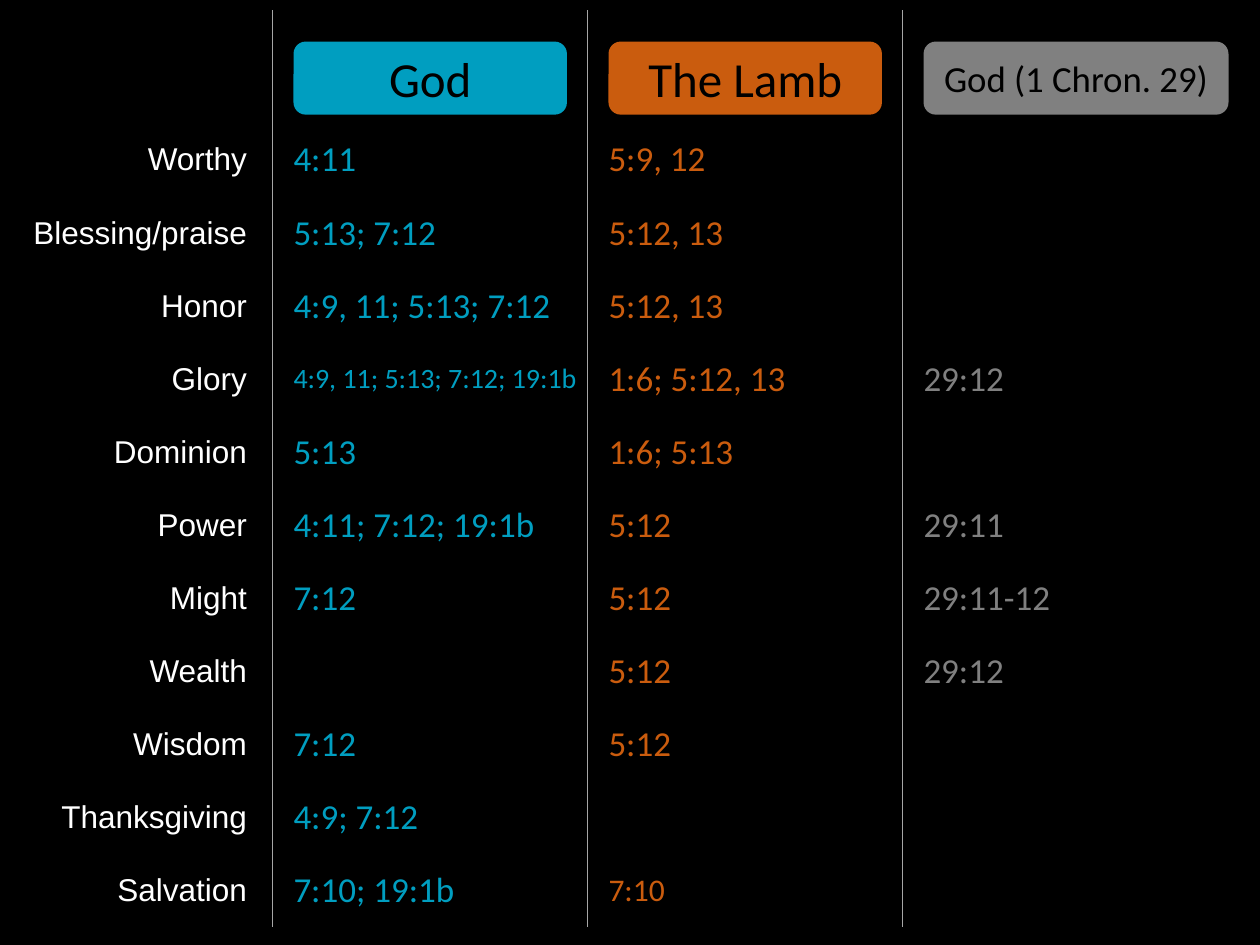
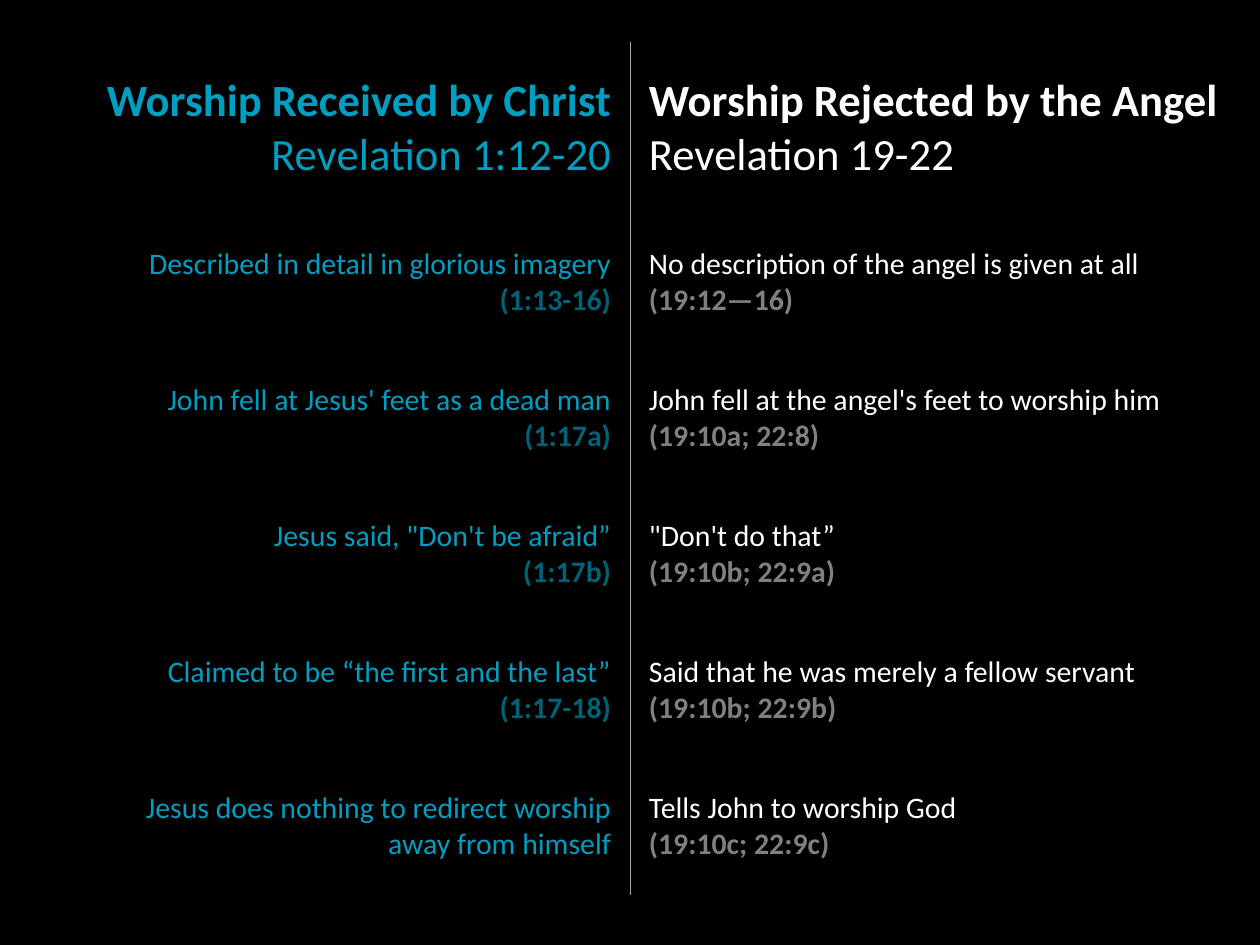
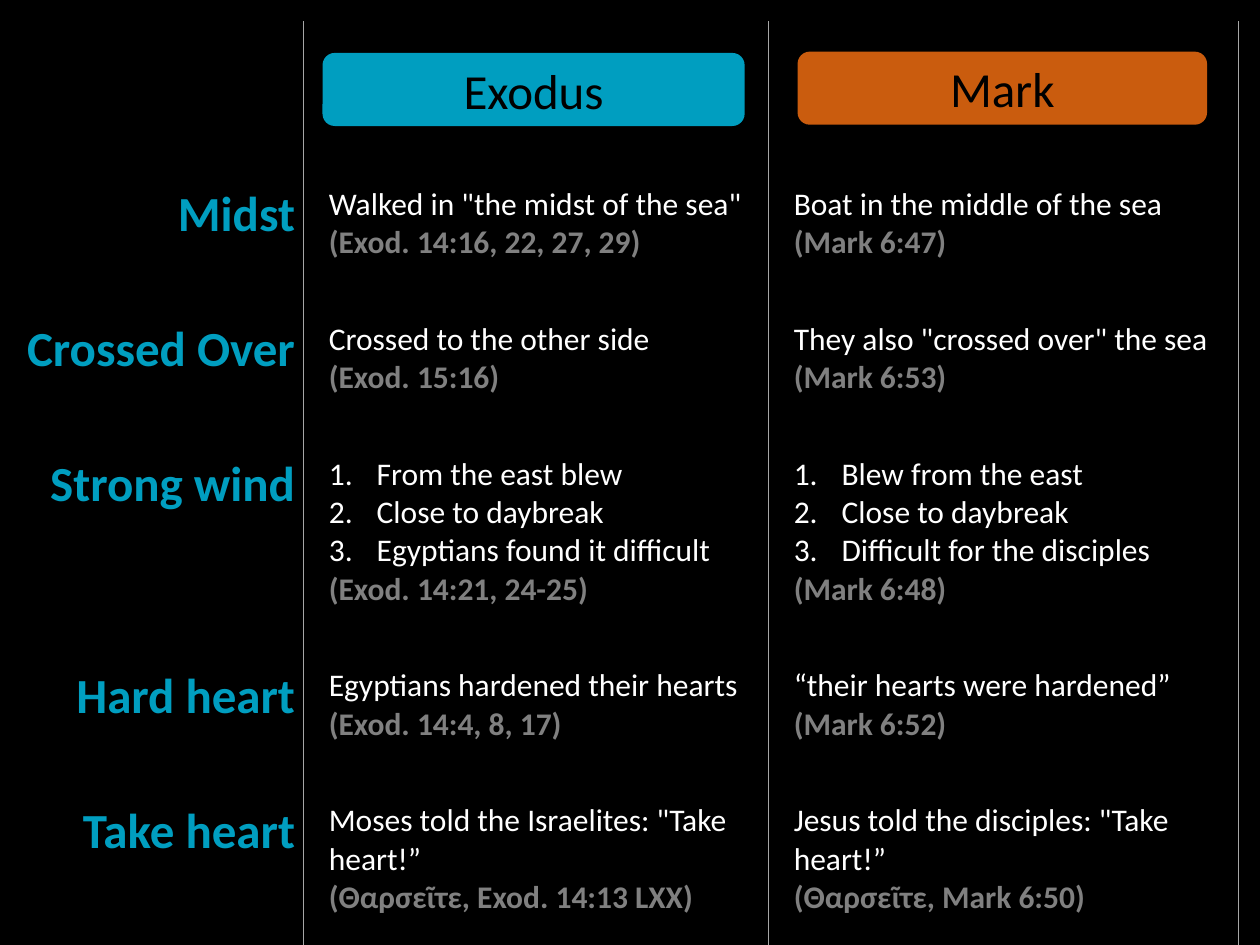
from lxml import etree
from pptx import Presentation, util as u
from pptx.dml.color import RGBColor
from pptx.enum import shapes, text
from pptx.oxml import ns

HUE = {"back": "000000", "white": "FFFFFF", "blue": "009EC0", "deep": "006276",
       "rust": "CA5C0E", "gray": "808080", "rule": "A6A6A6"}
PLAIN = "{2D5ABB26-0587-4C30-8999-92F81FD0307C}"  # table style without grid
SIDE = {"left": text.PP_ALIGN.LEFT, "right": text.PP_ALIGN.RIGHT,
        "mid": text.PP_ALIGN.CENTER}
FIT = {"top": text.MSO_ANCHOR.TOP, "mid": text.MSO_ANCHOR.MIDDLE,
       "low": text.MSO_ANCHOR.BOTTOM}


def put(item, **vals):
    for key, val in vals.items():
        setattr(item, key, val)


def rgb(hue):
    return RGBColor.from_string(HUE[hue])


class Deck:
    font = "Calibri"
    line = 0.25

    def __init__(self):
        self.prs = Presentation()
        put(self.prs, slide_width=u.Inches(10), slide_height=u.Inches(7.5))

    def page(self):
        self.slide = self.prs.slides.add_slide(self.prs.slide_layouts[6])
        fill = self.slide.background.fill
        fill.solid()
        fill.fore_color.rgb = rgb("back")

    def run(self, para, words, size, hue, bold=False, font=None):
        run = para.add_run()
        run.text = words
        put(run.font, size=u.Pt(size), bold=bold, name=font or self.font)
        run.font.color.rgb = rgb(hue)

    def pill(self, left, top, wide, words, hue, size=28):
        box = self.slide.shapes.add_shape(
            shapes.MSO_SHAPE.ROUNDED_RECTANGLE,
            *[u.Inches(n) for n in (left, top, wide, 0.58)])
        box.shadow.inherit = False
        box.fill.solid()
        box.fill.fore_color.rgb = rgb(hue)
        box.line.fill.background()
        put(box.text_frame, vertical_anchor=FIT["mid"], word_wrap=True)
        para = box.text_frame.paragraphs[0]
        para.alignment = SIDE["mid"]
        self.run(para, words, size, "back")

    def grid(self, left, top, cols, rows, edge=False):
        """Add a table ruled between its columns, and at its right edge if asked."""
        frame = self.slide.shapes.add_table(
            len(rows), len(cols), u.Inches(left), u.Inches(top),
            u.Inches(sum(cols)), u.Inches(sum(rows)))
        table = frame.table
        put(table, first_row=False, horz_banding=False)
        table._tbl.tblPr.find(ns.qn("a:tableStyleId")).text = PLAIN
        for col, wide in zip(table.columns, cols):
            col.width = u.Inches(wide)
        for row, high in zip(table.rows, rows):
            row.height = u.Inches(high)
            for i, cell in enumerate(row.cells):
                if i > 0:
                    self.rule(cell, "a:lnL")
                if i < len(cols) - 1 or edge:
                    self.rule(cell, "a:lnR")
                cell.fill.background()
        return table

    def rule(self, cell, tag):
        ln = etree.SubElement(cell._tc.get_or_add_tcPr(), ns.qn(tag),
                              w=str(u.Pt(self.line)))
        fill = etree.SubElement(ln, ns.qn("a:solidFill"))
        etree.SubElement(fill, ns.qn("a:srgbClr"), val=HUE["rule"])

    def cell(self, cell, paras, size, pad, side="left", fit="mid", font=None, count=0):
        """Fill a cell with paragraphs of (words, hue, bold) runs, the first `count` numbered."""
        names = ("margin_left", "margin_top", "margin_right", "margin_bottom")
        put(cell, vertical_anchor=FIT[fit],
            **{name: u.Inches(n) for name, n in zip(names, pad)})
        for i, runs in enumerate(paras):
            para = cell.text_frame.paragraphs[0] if i == 0 else cell.text_frame.add_paragraph()
            para.alignment = SIDE[side]
            if i < count:
                self.number(para)
            for words, hue, bold in runs:
                self.run(para, words, size, hue, bold, font)

    def number(self, para):
        props = para._p.get_or_add_pPr()
        step = u.Inches(0.38)
        props.set("marL", str(step))
        props.set("indent", str(-step))
        etree.SubElement(props, ns.qn("a:buAutoNum"), type="arabicPeriod")


def verse(words, ref, hue="white", dim="gray"):
    """Pair words with a reference; a final space keeps both in one paragraph."""
    main, note = (words, hue, False), (ref, dim, True)
    return [[main, note]] if words.endswith(" ") else [[main], [note]]


deck = Deck()

# Slide 1: words of praise and where they occur
deck.page()
PRAISE = [
    ("Worthy", "4:11", "5:9, 12", ""),
    ("Blessing/praise", "5:13; 7:12", "5:12, 13", ""),
    ("Honor", "4:9, 11; 5:13; 7:12", "5:12, 13", ""),
    ("Glory", "4:9, 11; 5:13; 7:12; 19:1b", "1:6; 5:12, 13", "29:12"),
    ("Dominion", "5:13", "1:6; 5:13", ""),
    ("Power", "4:11; 7:12; 19:1b", "5:12", "29:11"),
    ("Might", "7:12", "5:12", "29:11-12"),
    ("Wealth", "", "5:12", "29:12"),
    ("Wisdom", "7:12", "5:12", ""),
    ("Thanksgiving", "4:9; 7:12", "", ""),
    ("Salvation", "7:10; 19:1b", "7:10", ""),
]
SMALL = {"4:9, 11; 5:13; 7:12; 19:1b": 16, "7:10": 18}
table = deck.grid(0.12, 0.08, [2.04, 2.5, 2.5, 2.71], [0.9] + [0.58] * len(PRAISE))
for r, (name, *refs) in enumerate(PRAISE, 1):
    deck.cell(table.cell(r, 0), [[(name, "white", False)]], 18,
              (0.07, 0.12, 0.2, 0.12), side="right", font="Arial")
    for c, (ref, hue) in enumerate(zip(refs, ("blue", "rust", "gray")), 1):
        if ref:
            deck.cell(table.cell(r, c), [[(ref, hue, False)]], SMALL.get(ref, 20),
                      (0.17, 0.12, 0.07, 0.12))
deck.pill(2.33, 0.33, 2.17, "God", "blue")
deck.pill(4.83, 0.33, 2.17, "The Lamb", "rust")
deck.pill(7.33, 0.33, 2.42, "God (1 Chron. 29)", "gray", 21)

# Slide 2: worship received and rejected
deck.page()
CHRIST = [
    ("Described in detail in glorious imagery", "(1:13-16)"),
    ("John fell at Jesus' feet as a dead man", "(1:17a)"),
    ("Jesus said, \"Don't be afraid”", "(1:17b)"),
    ("Claimed to be “the first and the last”", "(1:17-18)"),
]
ANGEL = [
    ("No description of the angel is given at all", "(19:12—16)"),
    ("John fell at the angel's feet to worship him ", "(19:10a; 22:8)"),
    ("\"Don't do that”", "(19:10b; 22:9a)"),
    ("Said that he was merely a fellow servant ", "(19:10b; 22:9b)"),
    ("Tells John to worship God", "(19:10c; 22:9c)"),
]
LAST = [[(words, "blue", False)] for words in
        ("Jesus does nothing to redirect worship", "away from himself")]
HALVES = [
    ("right", "blue", "Worship Received by Christ", "Revelation 1:12-20",
     [verse(*pair, "blue", "deep") for pair in CHRIST] + [LAST]),
    ("left", "white", "Worship Rejected by the Angel", "Revelation 19-22",
     [verse(*pair) for pair in ANGEL]),
]
table = deck.grid(0.12, 0.33, [4.88, 4.88], [1.37] + [1.08] * len(ANGEL))
pad = (0.15, 0.25, 0.15, 0.25)
for c, (side, hue, title, book, items) in enumerate(HALVES):
    deck.cell(table.cell(0, c), [[(title, hue, True)], [(book, hue, False)]],
              25.5, pad, side, "low")
    for r, paras in enumerate(items, 1):
        deck.cell(table.cell(r, c), paras, 17, pad, side, "top")

# Slide 3: Exodus beside Mark
deck.page()
WIND = ["From the east blew", "Close to daybreak", "Egyptians found it difficult"]
ROWED = ["Blew from the east", "Close to daybreak", "Difficult for the disciples"]
THEMES = [
    ("Midst", 1.07,
     ("Walked in \"the midst of the sea\" ", "(Exod. 14:16, 22, 27, 29)"),
     ("Boat in the middle of the sea ", "(Mark 6:47)")),
    ("Crossed Over", 1.07,
     ("Crossed to the other side", "(Exod. 15:16)"),
     ("They also \"crossed over\" the sea ", "(Mark 6:53)")),
    ("Strong wind", 1.68, (WIND, "(Exod. 14:21, 24-25)"), (ROWED, "(Mark 6:48)")),
    ("Hard heart", 1.07,
     ("Egyptians hardened their hearts ", "(Exod. 14:4, 8, 17)"),
     ("“their hearts were hardened” ", "(Mark 6:52)")),
    ("Take heart", 1.37,
     ("Moses told the Israelites: \"Take heart!”", "(Θαρσεῖτε, Exod. 14:13 LXX)"),
     ("Jesus told the disciples: \"Take heart!”", "(Θαρσεῖτε, Mark 6:50)")),
]
table = deck.grid(0.12, 0.17, [2.29, 3.69, 3.73],
                  [1.07] + [high for _, high, *_ in THEMES], edge=True)
for r, (name, _, *pairs) in enumerate(THEMES, 1):
    deck.cell(table.cell(r, 0), [[(name, "blue", True)]], 28,
              (0.07, 0.23, 0.07, 0.23), "right", "top")
    for c, (words, ref) in enumerate(pairs, 1):
        steps = words if isinstance(words, list) else []
        paras = ([[(step, "white", False)] for step in steps] + [[(ref, "gray", True)]]
                 if steps else verse(words, ref))
        deck.cell(table.cell(r, c), paras, 18, (0.2, 0.23, 0.2, 0.23), count=len(steps))
deck.pill(2.56, 0.42, 3.35, "Exodus", "blue")
deck.pill(6.33, 0.41, 3.25, "Mark", "rust")

deck.prs.save("out.pptx")
